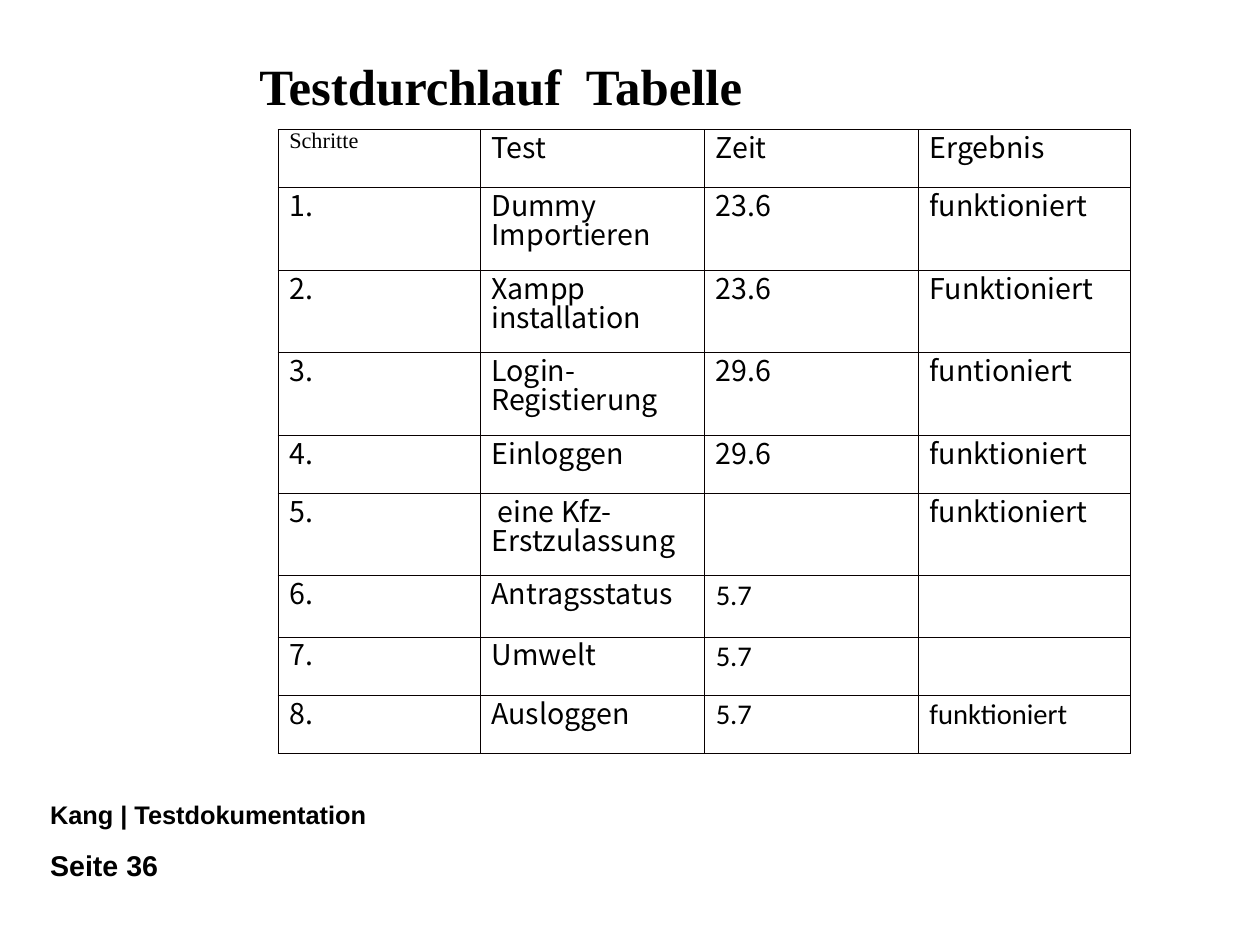
from pptx import Presentation
from pptx.dml.color import RGBColor
from pptx.enum.text import MSO_ANCHOR, MSO_AUTO_SIZE, PP_ALIGN
from pptx.oxml import parse_xml
from pptx.oxml.ns import nsdecls
from pptx.util import Pt

HEADING = "Testdurchlauf  Tabelle"
FOOTERS = [
    ("Kang | Testdokumentation", "document", (24.5, 499.7, 520.6, 26.6)),
    ("Seite 36", "page", (24.5, 530.6, 238.3, 31.7)),
]
TEST_RUNS = [
    ("Schritte", "Test", "Zeit", "Ergebnis"),
    ("1.", "Dummy Importieren", "23.6", "funktioniert"),
    ("2.", "Xampp installation", "23.6", "Funktioniert"),
    ("3.", "Login-Registierung", "29.6", "funtioniert"),
    ("4.", "Einloggen", "29.6", "funktioniert"),
    ("5.", " eine Kfz-Erstzulassung", "", "funktioniert"),
    ("6.", "Antragsstatus", "5.7", ""),
    ("7.", "Umwelt", "5.7", ""),
    ("8.", "Ausloggen", "5.7", "funktioniert"),
]
SPECIAL_CELLS = {(0, 0): "corner", (6, 2): "late", (7, 2): "late",
                 (8, 2): "late", (8, 3): "late"}

SLIDE_SIZE = (793.7, 595.3)
HEADING_BOX = (156.2, 31, 424.8, 45.4)
TABLE_ORIGIN = (175, 81.4)
COLUMN_WIDTHS = (127.4, 141.3, 134.6, 133.9)
LOW, HIGH, MIDDLE = 36.6, 52, 38.6
ROW_HEIGHTS = (LOW, HIGH, HIGH, HIGH, LOW, HIGH, MIDDLE, LOW, LOW)

THEME = {
    "ink": "000000",
    "rule": "080000",
    "rule_width": 0.23,
    "heading": {"name": "Times New Roman", "size": Pt(32), "bold": True},
    "document": {"name": "Arial", "size": Pt(16), "bold": True},
    "page": {"name": "Arial", "size": Pt(18), "bold": True},
    "corner": {"name": "Times New Roman", "size": Pt(14), "bold": False},
    "entry": {"name": "Noto Sans CJK SC", "size": Pt(18), "bold": False},
    "late": {"name": "Calibri", "size": Pt(18), "bold": False},
}
LINE_SPACING = {"corner": 0.71, "entry": 0.71, "late": 0.86}


def apply(target, values):
    for attribute, value in values.items():
        setattr(target, attribute, value)


def write(frame, wording, role):
    frame.text = wording
    paragraph = frame.paragraphs[0]
    paragraph.alignment = PP_ALIGN.LEFT
    paragraph.line_spacing = LINE_SPACING.get(role, 1.0)
    for styled in (paragraph, *paragraph.runs):
        apply(styled.font, THEME[role])
        styled.font.color.rgb = RGBColor.from_string(THEME["ink"])


def fill_frame(frame, wording, role):
    apply(frame, {"word_wrap": True, "auto_size": MSO_AUTO_SIZE.NONE,
                  "vertical_anchor": MSO_ANCHOR.TOP})
    write(frame, wording, role)


def rule_cell(cell):
    cell.fill.background()
    properties = cell._tc.get_or_add_tcPr()
    for position, side in enumerate("LRTB"):
        properties.insert(position, parse_xml(
            f'<a:ln{side} {nsdecls("a")} w="{Pt(THEME["rule_width"])}">'
            f'<a:solidFill><a:srgbClr val="{THEME["rule"]}"/></a:solidFill>'
            f'</a:ln{side}>'))


def add_test_table(slide):
    size = (sum(COLUMN_WIDTHS), sum(ROW_HEIGHTS))
    table = slide.shapes.add_table(
        len(ROW_HEIGHTS), len(COLUMN_WIDTHS), *map(Pt, TABLE_ORIGIN + size)).table
    apply(table, {"first_row": False, "horz_banding": False})
    for column, width in zip(table.columns, COLUMN_WIDTHS):
        column.width = Pt(width)
    for row, height in zip(table.rows, ROW_HEIGHTS):
        row.height = Pt(height)
    for row_index, test_run in enumerate(TEST_RUNS):
        for column_index, entry in enumerate(test_run):
            cell = table.cell(row_index, column_index)
            role = SPECIAL_CELLS.get((row_index, column_index), "entry")
            write(cell.text_frame, entry, role)
            rule_cell(cell)


def main():
    deck = Presentation()
    deck.slide_width, deck.slide_height = map(Pt, SLIDE_SIZE)
    slide = deck.slides.add_slide(deck.slide_layouts[5])
    for wording, role, box in FOOTERS:
        footer = slide.shapes.add_textbox(*map(Pt, box))
        fill_frame(footer.text_frame, wording, role)
    heading = slide.shapes.title
    apply(heading, dict(zip(("left", "top", "width", "height"), map(Pt, HEADING_BOX))))
    fill_frame(heading.text_frame, HEADING, "heading")
    add_test_table(slide)
    deck.save("out.pptx")


if __name__ == "__main__":
    main()
